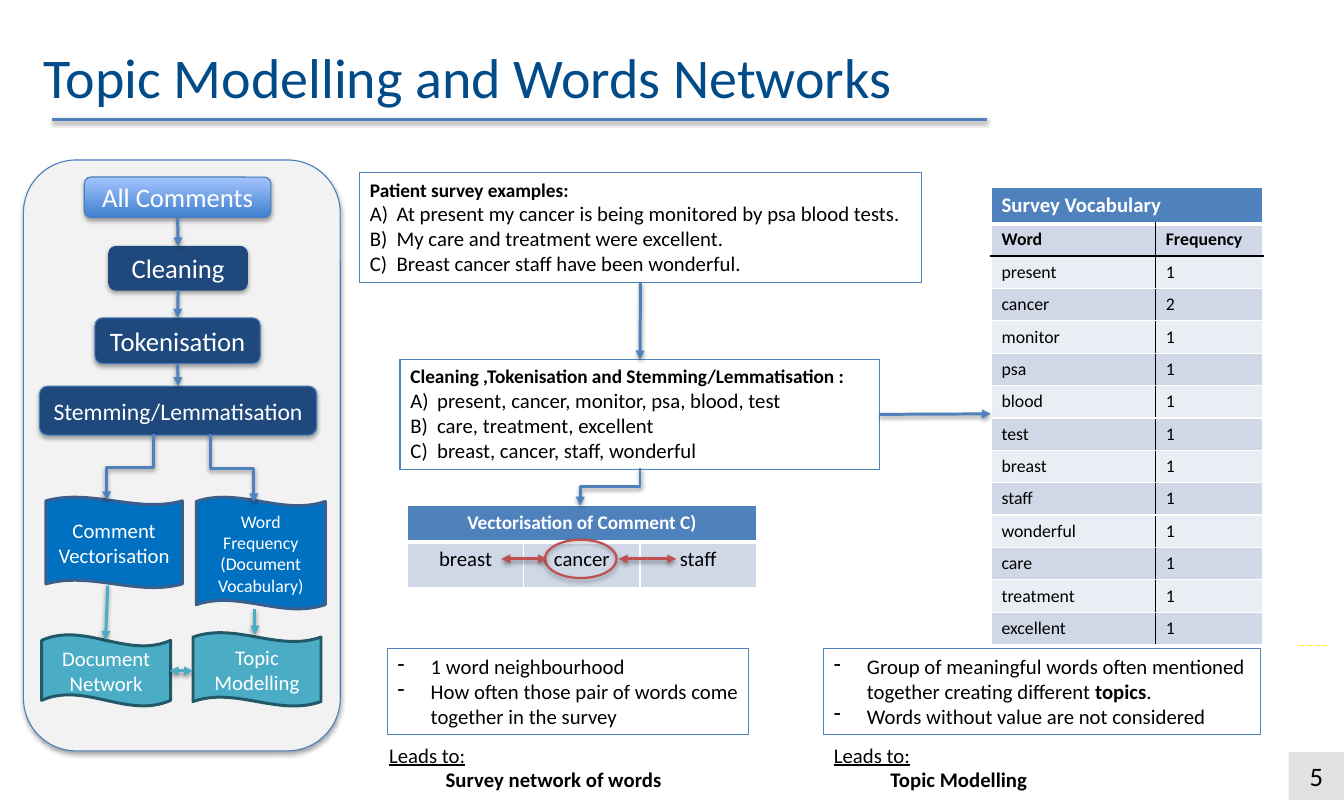
from lxml.etree import SubElement
from pptx import Presentation
from pptx.dml.color import RGBColor
from pptx.enum.dml import MSO_LINE
from pptx.enum.shapes import MSO_CONNECTOR, MSO_SHAPE
from pptx.enum.text import MSO_ANCHOR, PP_ALIGN
from pptx.oxml.ns import qn
from pptx.util import Inches, Pt

color = RGBColor.from_string
LEFT, CENTER = PP_ALIGN.LEFT, PP_ALIGN.CENTER
TOP, MIDDLE = MSO_ANCHOR.TOP, MSO_ANCHOR.MIDDLE
BLUE, TEAL, RED, NAVY, EDGE = "4F81BD", "4BACC6", "C0504D", "1F497D", "4B7EBC"
WHITE, BLACK = "FFFFFF", "000000"

# Paragraph kinds: left margin, first-line indent, bullet
kinds = {
    "": (0, 0, None),
    "indented": (0.53, 0, None),
    "A)": (0.25, -0.25, ("a:buAutoNum", {"type": "alphaUcParenR"})),
    "-": (0.31, -0.31, ("a:buChar", {"char": "-"})),
}


def write(frame, paragraphs, ink, align=LEFT):
    """Each paragraph is (kind, runs); each run is (text, size, style letters)."""
    frame.word_wrap = True
    for number, (kind, runs) in enumerate(paragraphs):
        paragraph = frame.add_paragraph() if number else frame.paragraphs[0]
        paragraph.alignment = align
        margin, indent, bullet = kinds[kind]
        if margin:
            properties = paragraph._p.get_or_add_pPr()
            properties.set("marL", str(Inches(margin)))
            properties.set("indent", str(Inches(indent)))
            if bullet:
                SubElement(properties, qn(bullet[0]), bullet[1])
        for text, size, style in runs:
            run = paragraph.add_run()
            run.text = text
            run.font.name, run.font.size = "Calibri", Pt(size)
            run.font.color.rgb = color(ink)
            run.font.bold, run.font.underline = "b" in style, "u" in style


def cast_shadow(effects, distance, opacity):
    shadow = SubElement(effects, qn("a:outerShdw"), blurRad=str(Pt(3.1)), dist=str(Pt(distance)),
                        dir="5400000", rotWithShape="0")
    black = SubElement(shadow, qn("a:srgbClr"), val=BLACK)
    SubElement(black, qn("a:alpha"), val=str(opacity * 1000))


deck = Presentation()
deck.slide_width, deck.slide_height = Inches(12.6), Inches(7.5)
slide = deck.slides.add_slide(deck.slide_layouts[6])

# Tables: place, column widths, row heights, alignment, body size, bold rows, rows
words = ["present", "cancer", "monitor", "psa", "blood", "test", "breast", "staff",
         "wonderful", "care", "treatment", "excellent"]
vocabulary = [["Survey Vocabulary", ""], ["Word", "Frequency"]]
vocabulary += [[word, "2" if word == "cancer" else "1"] for word in words]
vector = [["Vectorisation of Comment C)", "", ""], ["breast", "cancer", "staff"]]
for left, top, widths, heights, align, head_size, body_size, bold_rows, rows in [
    (9.29, 1.76, [1.54, 1.01], [0.33] + [0.3] * 13, LEFT, 14, 12, 2, vocabulary),
    (3.82, 4.74, [1.09] * 3, [0.34, 0.43], CENTER, 13, 14, 1, vector),
]:
    table = slide.shapes.add_table(len(rows), len(widths), Inches(left), Inches(top),
                                   Inches(sum(widths)), Inches(sum(heights))).table
    for column, width in zip(table.columns, widths):
        column.width = Inches(width)
    for row, height in zip(table.rows, heights):
        row.height = Inches(height)
    table.cell(0, 0).merge(table.cell(0, len(widths) - 1))
    for r, row in enumerate(rows):
        for c, text in enumerate(row):
            cell = table.cell(r, c)
            if text:
                run = (text, body_size if r else head_size, "b" if r < bold_rows else "")
                write(cell.text_frame, [("", [run])], BLACK if r else WHITE, align)
            borders = dict.fromkeys(["a:lnL", "a:lnR", "a:lnT", "a:lnB"], WHITE)
            if rows is vocabulary and r:
                borders["a:lnL" if c else "a:lnR"] = BLACK
                if r < 3:
                    borders["a:lnB" if r == 1 else "a:lnT"] = BLACK
            for side, ink in borders.items():
                thickness = 3 if r == 0 and side == "a:lnB" else 1
                border = SubElement(cell._tc.get_or_add_tcPr(), qn(side), w=str(Pt(thickness)))
                SubElement(SubElement(border, qn("a:solidFill")), qn("a:srgbClr"), val=ink)
            cell.fill.solid()
            cell.fill.fore_color.rgb = color(BLUE if r == 0 else "D0D8E8" if r % 2 else "E9EDF4")

# Panel, pipeline steps, wave outputs, cancer ring, page number
BOX, ROUND, WAVE = MSO_SHAPE.RECTANGLE, MSO_SHAPE.ROUNDED_RECTANGLE, MSO_SHAPE.WAVE
parts = {}
for kind, place, fill, line, thickness, lines, size, bend in [
    (ROUND, (0.22, 1.5, 2.97, 5.54), "F2F2F2", EDGE, 0.75, [], 0, None),
    (ROUND, (0.79, 1.66, 1.75, 0.38), "gradient", EDGE, 0.75, ["All Comments"], 18, None),
    (ROUND, (1.02, 2.31, 1.3, 0.41), NAVY, NAVY, 0.75, ["Cleaning"], 18, None),
    (ROUND, (0.89, 2.98, 1.55, 0.43), NAVY, EDGE, 0.75, ["Tokenisation"], 18, None),
    (ROUND, (0.37, 3.62, 2.6, 0.46), NAVY, EDGE, 0.75, ["Stemming/Lemmatisation"], 16, None),
    (WAVE, (0.43, 4.66, 1.28, 0.85), "0070C0", "3A5F8C", 2, ["Comment Vectorisation"], 14, 0.042),
    (WAVE, (1.84, 4.66, 1.21, 1.05), "0070C0", "3A5F8C", 2,
     ["Word", "Frequency", "(Document", "Vocabulary)"], 12, 0.039),
    (WAVE, (0.39, 5.95, 1.21, 0.67), TEAL, "215968", 2, ["Document Network"], 14, 0.08),
    (WAVE, (1.81, 5.93, 1.2, 0.69), TEAL, "215968", 2, ["Topic", "Modelling"], 14, 0.062),
    (MSO_SHAPE.OVAL, (5.11, 5.06, 0.67, 0.36), None, RED, 1.5, [], 0, None),
    (BOX, (12.08, 7.05, 0.52, 0.45), "D9D9D9", None, 0, ["5"], 18, None),
]:
    part = slide.shapes.add_shape(kind, *map(Inches, place))
    if fill == "gradient":
        part.fill.gradient()
        part.fill.gradient_angle = 90
        for stop, shade in zip(part.fill.gradient_stops, ["3F80CE", "A4C4FF"]):
            stop.color.rgb = color(shade)
    elif fill:
        part.fill.solid()
        part.fill.fore_color.rgb = color(fill)
    else:
        part.fill.background()
    if line:
        part.line.color.rgb, part.line.width = color(line), Pt(thickness)
    else:
        part.line.fill.background()
    part.shadow.inherit = False
    if kind in (ROUND, MSO_SHAPE.OVAL):
        cast_shadow(part.element.spPr.find(qn("a:effectLst")), 1.8, 35)
    if bend:
        part.adjustments[0], part.adjustments[1] = bend, 0
    if lines:
        part.text_frame.vertical_anchor = MIDDLE
        write(part.text_frame, [("", [(text, size, "")]) for text in lines],
              BLACK if kind == BOX else WHITE, CENTER)
        parts[lines[0]] = part
SubElement(part.element.spPr.find(".//" + qn("a:srgbClr")), qn("a:alpha"), val="77000")

# Title, framed explanations and conclusions
for name, place, framed, ink, anchor, paragraphs in [
    ("title", (0.31, 0.42, 11.34, 0.59), False, "004B88", MIDDLE,
     [("", [("Topic Modelling and Words Networks", 37.8, "")])]),
    ("examples", (3.37, 1.62, 5.27, 1.03), True, BLACK, TOP, [
        ("", [("Patient survey examples:", 13, "b")]),
        ("A)", [("At present my cancer is being monitored by psa blood tests.", 14, "")]),
        ("A)", [("My care and treatment were excellent.", 14, "")]),
        ("A)", [("Breast cancer staff have been wonderful.", 14, "")])]),
    ("tokens", (3.75, 3.37, 4.5, 1.03), True, BLACK, TOP, [
        ("", [("Cleaning ,Tokenisation and Stemming/Lemmatisation :", 13, "b")]),
        ("A)", [("present, cancer, monitor, psa, blood, test", 14, "")]),
        ("A)", [("care, treatment, excellent", 14, "")]),
        ("A)", [("breast, cancer, staff, wonderful", 14, "")])]),
    ("neighbours", (3.63, 6.08, 3.39, 0.81), True, BLACK, TOP, [
        ("-", [("1 word neighbourhood", 14, "")]),
        ("-", [("How often those pair of words come together in the survey", 14, "")])]),
    ("topics", (7.72, 6.08, 4.1, 0.81), True, BLACK, TOP, [
        ("-", [("Group of meaningful words often mentioned together creating different ", 14, ""),
               ("topics", 14, "b"), (".", 14, "")]),
        ("-", [("Words without value are not considered", 14, "")])]),
    ("network result", (3.55, 6.91, 2.87, 0.57), False, BLACK, TOP, [
        ("", [("Leads to:", 14, "u")]), ("indented", [("Survey network of words", 14, "b")])]),
    ("topic result", (7.72, 6.91, 2.11, 0.57), False, BLACK, TOP, [
        ("", [("Leads to:", 14, "u")]), ("indented", [("Topic Modelling", 14, "b")])]),
]:
    passage = slide.shapes.add_textbox(*map(Inches, place))
    if framed:
        passage.line.color.rgb, passage.line.width = color(BLUE), Pt(0.75)
    passage.text_frame.vertical_anchor = anchor
    write(passage.text_frame, paragraphs, ink)
    parts[name] = passage

# Lines and arrows: ends, colour, arrowheads, joined parts
TAIL, BOTH = ["a:tailEnd"], ["a:headEnd", "a:tailEnd"]
for (x1, y1, x2, y2), ink, heads, start, end in [
    ((0.49, 1.12, 9.25, 1.12), BLUE, [], None, None),
    ((12.19, 6.05, 12.44, 6.05), "FFFF00", [], None, None),
    ((1.67, 2.05, 1.67, 2.31), BLUE, TAIL, "All Comments", "Cleaning"),
    ((1.67, 2.72, 1.67, 2.98), BLUE, TAIL, "Cleaning", "Tokenisation"),
    ((1.67, 3.41, 1.67, 3.62), BLUE, TAIL, "Tokenisation", "Stemming/Lemmatisation"),
    ((6, 2.65, 6, 3.37), BLUE, TAIL, "examples", "tokens"),
    ((8.25, 3.88, 9.29, 3.88), BLUE, TAIL, "tokens", None),
    ((1.44, 4.07, 1, 4.69), BLUE, TAIL, None, None),
    ((1.97, 4.07, 2.38, 4.71), BLUE, TAIL, None, None),
    ((6, 4.39, 5.44, 4.74), BLUE, TAIL, None, None),
    ((1.01, 5.49, 0.99, 6), TEAL, TAIL, None, None),
    ((2.39, 5.71, 2.39, 5.95), TEAL, TAIL, None, None),
    ((1.59, 6.29, 1.81, 6.29), TEAL, BOTH, None, None),
    ((4.7, 5.24, 5.13, 5.24), RED, BOTH, None, None),
    ((5.8, 5.24, 6.34, 5.24), RED, BOTH, None, None),
]:
    elbow = abs(x2 - x1) > 0.1 and y1 != y2
    route, turn = MSO_CONNECTOR.STRAIGHT, 0
    if elbow:  # leaves downwards: a sideways elbow turned about its centre
        route, turn = MSO_CONNECTOR.ELBOW, 90 if x2 < x1 else 270
        middle_x, middle_y, drop, shift = (x1 + x2) / 2, (y1 + y2) / 2, (y2 - y1) / 2, abs(x2 - x1) / 2
        if turn == 270:
            drop = -drop
        x1, y1, x2, y2 = middle_x - drop, middle_y - shift, middle_x + drop, middle_y + shift
    link = slide.shapes.add_connector(route, *map(Inches, (x1, y1, x2, y2)))
    if turn:
        link.element.spPr.find(qn("a:xfrm")).set("rot", str(turn * 60000))
    if start:
        link.begin_connect(parts[start], 3 if x2 > x1 else 2)
    if end:
        link.end_connect(parts[end], 0)
    link.line.color.rgb, link.line.width = color(ink), Pt(2)
    effects = SubElement(link.element.spPr, qn("a:effectLst"))
    if ink == "FFFF00":
        link.line.width, link.line.dash_style = Pt(0.75), MSO_LINE.DASH
    else:
        cast_shadow(effects, 1.6, 38)
    for head in heads:
        SubElement(link.line._get_or_add_ln(), qn(head), type="triangle")

deck.save("out.pptx")
